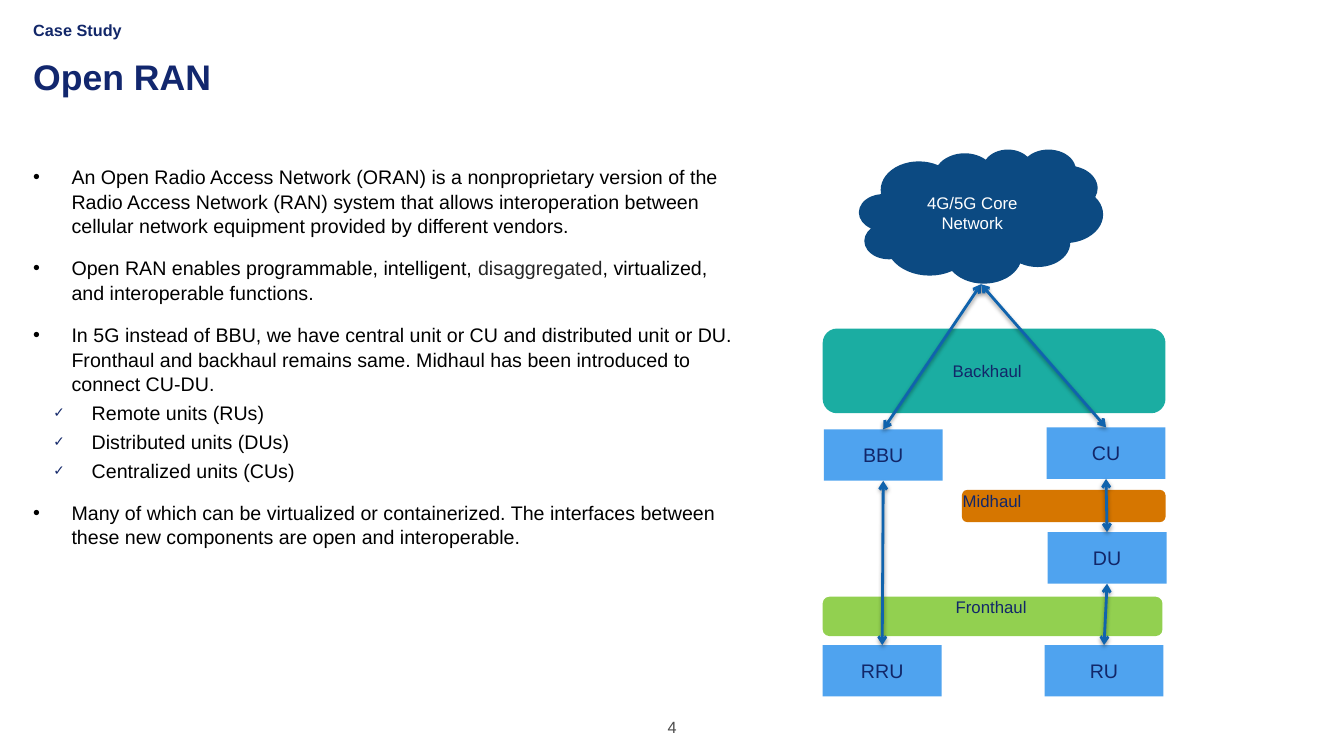
from dataclasses import dataclass

from lxml.etree import SubElement
from pptx import Presentation
from pptx.dml.color import RGBColor
from pptx.enum.shapes import MSO_CONNECTOR, MSO_SHAPE
from pptx.enum.text import MSO_ANCHOR, MSO_AUTO_SIZE, PP_ALIGN
from pptx.oxml.ns import qn
from pptx.util import Inches, Pt


@dataclass(frozen=True)
class Theme:
    font: str = "Arial"
    title_size: float = 25.4
    body_size: float = 14
    label_size: float = 12
    small_size: float = 11.6
    title: str = "12276E"
    navy: str = "122769"
    black: str = "000000"
    charcoal: str = "262626"
    grey: str = "4B4B4B"
    white: str = "FFFFFF"
    cloud: str = "0C4A82"
    node: str = "4FA3EF"
    link: str = "1063AD"
    backhaul: str = "1BADA2"
    midhaul: str = "D67600"
    fronthaul: str = "92D050"


THEME = Theme()
NODE_WIDTH, NODE_HEIGHT = 1.18, 0.51

# Each point: level, then runs of (text, colour)
POINTS = [
    (0, [("An Open Radio Access Network (ORAN) is a nonproprietary version of the Radio Access "
          "Network (RAN) system that allows interoperation between cellular network equipment "
          "provided by different vendors.", THEME.black)]),
    (0, [("Open RAN enables programmable, intelligent,", THEME.black),
         (" disaggregated", THEME.charcoal),
         (", virtualized, and interoperable functions.", THEME.black)]),
    (0, [("In 5G instead of BBU, we have central unit or CU and distributed unit or DU. Fronthaul "
          "and backhaul remains same. Midhaul has been introduced to connect CU-DU.",
          THEME.black)]),
    (1, [("Remote units (RUs)", THEME.black)]),
    (1, [("Distributed units (DUs)", THEME.black)]),
    (1, [("Centralized units (CUs)", THEME.black)]),
    (0, [("Many of which can be virtualized or containerized. The interfaces between these new "
          "components are open and interoperable.", THEME.black)]),
]

# Band: left, top, width, height, colour
BANDS = [
    (8.16, 3.26, 3.4, 0.84, THEME.backhaul),
    (9.54, 4.86, 2.02, 0.32, THEME.midhaul),
    (8.16, 5.92, 3.37, 0.39, THEME.fronthaul),
]
BAND_LABELS = [
    ("Backhaul", 9.35, 3.53, 1.12),
    ("Midhaul", 9.45, 4.82, 0.99),
    ("Fronthaul", 9.38, 5.87, 1.15),
]
NODES = {
    "BBU": (8.17, 4.26),
    "RRU": (8.16, 6.4),
    "CU": (10.38, 4.24),
    "DU": (10.39, 5.28),
    "RU": (10.36, 6.4),
}
NODE_LINKS = [("BBU", "RRU"), ("CU", "DU"), ("DU", "RU")]
CORE_LINKS = ["BBU", "CU"]
CLOUD_BASE = (9.73, 2.82)


def add_run(para, text, size, color, bold=False):
    span = para.add_run()
    span.text = text
    span.font.name = THEME.font
    span.font.size = Pt(size)
    span.font.bold = bold
    span.font.color.rgb = RGBColor.from_string(color)


def add_text_frame(page, left, top, width, height, anchor=MSO_ANCHOR.TOP):
    """Add a wrapping text box without margins and return its text frame."""
    box = page.shapes.add_textbox(Inches(left), Inches(top), Inches(width), Inches(height))
    frame = box.text_frame
    frame.word_wrap = True
    frame.vertical_anchor = anchor
    frame.margin_left = frame.margin_right = frame.margin_top = frame.margin_bottom = 0
    return frame


def add_line_of_text(frame, text, size, color, bold=False, spacing=None, align=None):
    para = frame.paragraphs[0]
    para.line_spacing = spacing
    para.alignment = align
    add_run(para, text, size, color, bold)


def set_bullet(para, level):
    properties = para._p.get_or_add_pPr()
    properties.set("marL", str(Inches(0.58 if level else 0.38)))
    properties.set("indent", str(-Inches(0.38)))
    if level:
        color = SubElement(properties, qn("a:buClr"))
        SubElement(color, qn("a:srgbClr"), val=THEME.navy)
        SubElement(properties, qn("a:buSzPct"), val="70000")
    SubElement(properties, qn("a:buFont"), typeface=THEME.font)
    SubElement(properties, qn("a:buChar"), char="✓" if level else "•")


def add_points(page):
    frame = add_text_frame(page, 0.33, 1.63, 7.03, 4.47)
    for index, (level, runs) in enumerate(POINTS):
        para = frame.add_paragraph() if index else frame.paragraphs[0]
        para.level = level
        set_bullet(para, level)
        para.line_spacing = 1.04
        if index:
            para.space_before = Pt(3.2 if level else 12.7)
        for text, color in runs:
            add_run(para, text, THEME.body_size, color)


def add_filled_shape(shapes, preset, left, top, width, height, color):
    shape = shapes.add_shape(preset, Inches(left), Inches(top), Inches(width), Inches(height))
    shape.shadow.inherit = False
    shape.fill.solid()
    shape.fill.fore_color.rgb = RGBColor.from_string(color)
    shape.line.fill.background()
    return shape


def add_centred_text(shape, text, size, color):
    shape.text_frame.word_wrap = True
    shape.text_frame.vertical_anchor = MSO_ANCHOR.MIDDLE
    add_line_of_text(shape.text_frame, text, size, color, align=PP_ALIGN.CENTER)


def add_band_label(shapes, text, left, top, width):
    box = shapes.add_textbox(Inches(left), Inches(top), Inches(width), Inches(0.4))
    box.text_frame.word_wrap = False
    box.text_frame.auto_size = MSO_AUTO_SIZE.SHAPE_TO_FIT_TEXT
    add_line_of_text(box.text_frame, text, THEME.label_size, THEME.navy)


def add_link(shapes, start, end):
    """Add a double-headed arrow with a soft shadow below it."""
    points = [Inches(value) for value in (*start, *end)]
    link = shapes.add_connector(MSO_CONNECTOR.STRAIGHT, *points)
    link.line.color.rgb = RGBColor.from_string(THEME.link)
    link.line.width = Pt(2)
    outline = link.line._get_or_add_ln()
    for end_tag in ("a:headEnd", "a:tailEnd"):
        SubElement(outline, qn(end_tag), type="arrow")
    effects = SubElement(link._element.spPr, qn("a:effectLst"))
    shadow = SubElement(effects, qn("a:outerShdw"), blurRad=str(Pt(3.1)), dist=str(Pt(1.6)),
                        dir="5400000", rotWithShape="0")
    color = SubElement(shadow, qn("a:srgbClr"), val=THEME.black)
    SubElement(color, qn("a:alpha"), val="38000")


def node_edge(name, bottom=False):
    """Return the middle of a node's top or bottom edge."""
    left, top = NODES[name]
    return left + NODE_WIDTH / 2, top + (NODE_HEIGHT if bottom else 0)


def add_network(page):
    shapes = page.shapes.add_group_shape().shapes
    for *place, color in BANDS:
        band = add_filled_shape(shapes, MSO_SHAPE.ROUNDED_RECTANGLE, *place, color)
        band.adjustments[0] = 0.17
    cloud = add_filled_shape(shapes, MSO_SHAPE.CLOUD, 8.52, 1.48, 2.42, 1.33, THEME.cloud)
    add_centred_text(cloud, "4G/5G Core Network", THEME.label_size, THEME.white)
    for name, (left, top) in NODES.items():
        node = add_filled_shape(shapes, MSO_SHAPE.RECTANGLE, left, top,
                                NODE_WIDTH, NODE_HEIGHT, THEME.node)
        add_centred_text(node, name, THEME.body_size, THEME.navy)
    for label in BAND_LABELS:
        add_band_label(shapes, *label)
    for upper, lower in NODE_LINKS:
        add_link(shapes, node_edge(upper, bottom=True), node_edge(lower))
    for name in CORE_LINKS:
        add_link(shapes, CLOUD_BASE, node_edge(name))


def main():
    deck = Presentation()
    deck.slide_width, deck.slide_height = Inches(13.33), Inches(7.5)
    page = deck.slides.add_slide(deck.slide_layouts[6])
    add_line_of_text(add_text_frame(page, 6.19, 7.11, 0.95, 0.2, MSO_ANCHOR.BOTTOM),
                     "4", THEME.small_size, THEME.grey, align=PP_ALIGN.CENTER)
    add_line_of_text(add_text_frame(page, 0.33, 0.59, 12.67, 0.77),
                     "Open RAN", THEME.title_size, THEME.title, bold=True, spacing=0.9)
    add_points(page)
    add_line_of_text(add_text_frame(page, 0.33, 0, 12.66, 0.39, MSO_ANCHOR.BOTTOM),
                     "Case Study", THEME.small_size, THEME.navy, bold=True, spacing=1.04)
    add_network(page)
    deck.save("out.pptx")


if __name__ == "__main__":
    main()
